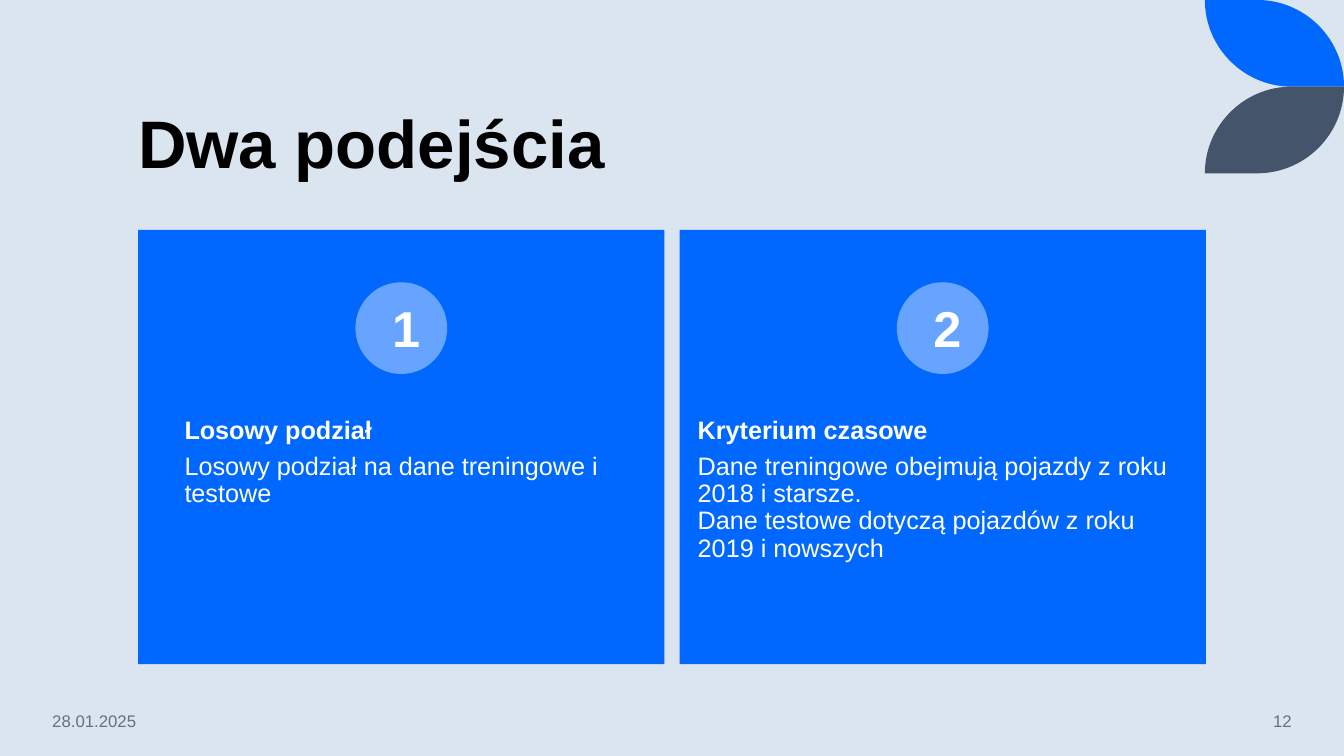
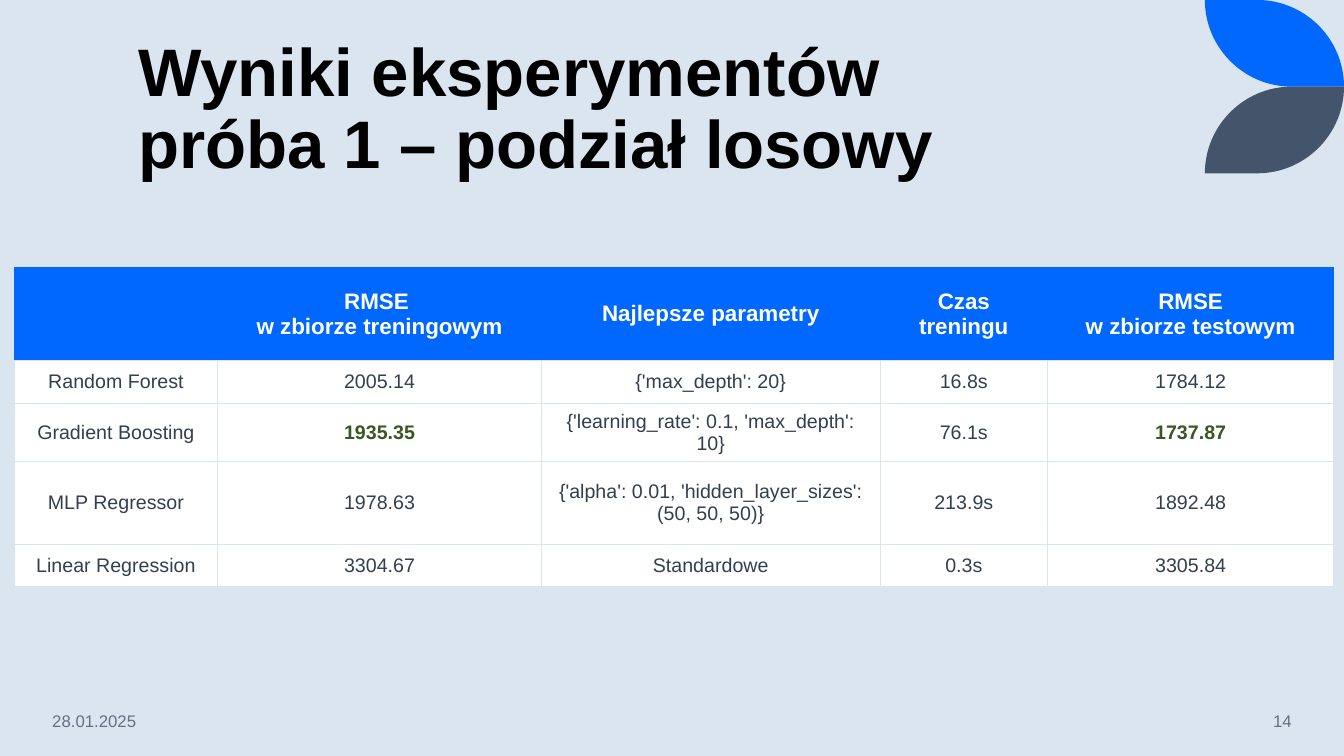
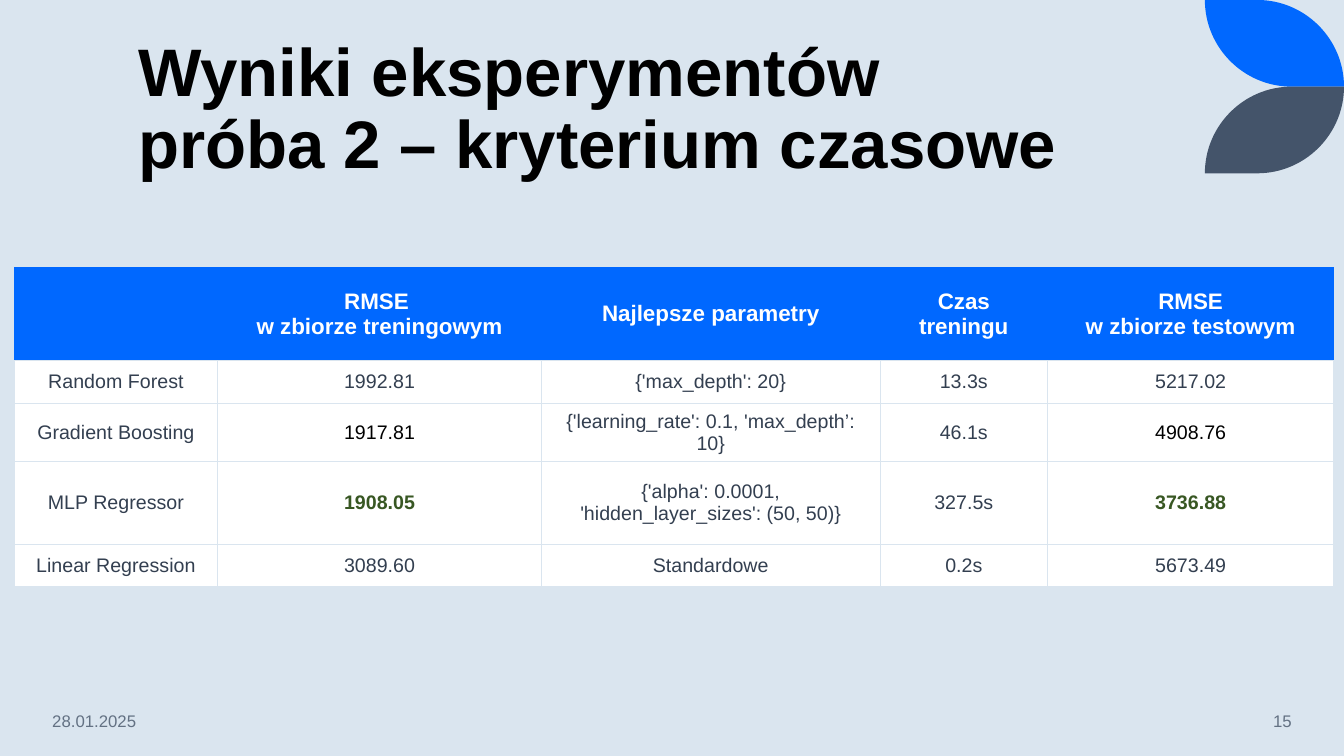
from lxml.etree import SubElement
from pptx import Presentation
from pptx.dml.color import RGBColor
from pptx.enum.shapes import MSO_SHAPE
from pptx.enum.text import MSO_ANCHOR, MSO_AUTO_SIZE, PP_ALIGN
from pptx.oxml.ns import qn
from pptx.util import Inches, Pt

# Content
DATE = "28.01.2025"
APPROACHES = {
    "title": "Dwa podejścia",
    "number": "12",
    "cards": [
        ("1", "Losowy podział", "Losowy podział na dane treningowe i testowe", 0.46),
        ("2", "Kryterium czasowe",
         "Dane treningowe obejmują pojazdy z roku 2018 i starsze.\n"
         "Dane testowe dotyczą pojazdów z roku 2019 i nowszych", 0.18),
    ],
}
# Each header cell is a tuple of paragraphs
HEADER = [("",), ("RMSE \nw zbiorze treningowym",), ("Najlepsze parametry",),
          ("Czas treningu",), ("RMSE", "w zbiorze testowym")]
RESULTS = [
    {
        "title": "Wyniki eksperymentów\npróba 1 – podział losowy",
        "number": "14",
        "rows": [
            ("Random Forest", "2005.14", "{'max_depth': 20}", "16.8s", "1784.12"),
            ("Gradient Boosting", "1935.35", "{'learning_rate': 0.1, 'max_depth': 10}",
             "76.1s", "1737.87"),
            ("MLP Regressor", "1978.63",
             "{'alpha': 0.01, 'hidden_layer_sizes': (50, 50, 50)}", "213.9s", "1892.48"),
            ("Linear Regression", "3304.67", "Standardowe", "0.3s", "3305.84"),
        ],
        "score_styles": {"Gradient Boosting": "best"},
    },
    {
        "title": "Wyniki eksperymentów\npróba 2 – kryterium czasowe",
        "number": "15",
        "rows": [
            ("Random Forest", "1992.81", "{'max_depth': 20}", "13.3s", "5217.02"),
            ("Gradient Boosting", "1917.81", "{'learning_rate': 0.1, 'max_depth’: 10}",
             "46.1s", "4908.76"),
            ("MLP Regressor", "1908.05",
             "{'alpha': 0.0001, 'hidden_layer_sizes': (50, 50)}", "327.5s", "3736.88"),
            ("Linear Regression", "3089.60", "Standardowe", "0.2s", "5673.49"),
        ],
        "score_styles": {"Gradient Boosting": "black", "MLP Regressor": "best"},
    },
]
SCORE_COLUMNS = (1, 4)
COLUMN_WIDTHS = [2.02, 3.21, 3.36, 1.66, 2.84]
ROW_HEIGHTS = [0.93, 0.42, 0.58, 0.82, 0.42]

# Shared look
PALE, BLUE, SLATE, LIGHT_BLUE, WHITE = "DAE5EF", "0068FF", "44546A", "66A4FF", "FFFFFF"
STYLES = {
    "title": {"size": Pt(48), "bold": True, "color": "000000"},
    "footer": {"size": Pt(12), "bold": False, "color": "637183"},
    "heading": {"size": Pt(18), "bold": True, "color": WHITE},
    "body": {"size": Pt(18), "bold": False, "color": WHITE},
    "digit": {"size": Pt(36), "bold": True, "color": WHITE},
    "header": {"size": Pt(16), "bold": True, "color": WHITE},
    "cell": {"size": Pt(14), "bold": False, "color": "333F50"},
    "black": {"size": Pt(14), "bold": False, "color": "000000"},
    "best": {"size": Pt(14), "bold": True, "color": "385723"},
}


def color(value):
    return RGBColor.from_string(value)


def paint(fill, value):
    fill.solid()
    fill.fore_color.rgb = color(value)


def write(paragraph, text, style, **formats):
    paragraph.text = text
    for name, value in formats.items():
        setattr(paragraph, name, value)
    for run in paragraph.runs:
        run.font.name = "Arial"
        for name, value in STYLES[style].items():
            if name == "color":
                run.font.color.rgb = color(value)
            else:
                setattr(run.font, name, value)


def finish_shape(shape, fill):
    shape.shadow.inherit = False
    paint(shape.fill, fill)
    shape.line.fill.background()


def add_text_frame(shapes, left, top, width, height, **formats):
    box = shapes.add_textbox(*map(Inches, (left, top, width, height)))
    frame = box.text_frame
    frame.word_wrap = True
    for name, value in formats.items():
        setattr(frame, name, value)
    return frame


# Corner leaves, drawn once and kept on the layout
def bend(segment, start, end):
    """Turn a straight segment into a quarter circle leaving start horizontally."""
    roundness = 0.55
    (x1, y1), (x2, y2) = start, end
    controls = [(x1 + roundness * (x2 - x1), y1), (x2, y2 - roundness * (y2 - y1)), end]
    curve = segment.makeelement(qn("a:cubicBezTo"), {})
    for x, y in controls:
        SubElement(curve, qn("a:pt"), x=str(round(x)), y=str(round(y)))
    segment.getparent().replace(segment, curve)


def add_leaf(slide, layout, fill, upside_down):
    left, width, radius = 11.95, 1.38, 0.86
    corners = [(0, 0), (width - radius, 0), (width, radius), (radius, radius), (0, 0)]
    if upside_down:
        corners = [(x, 2 * radius - y) for x, y in corners]
    outline = [(Inches(left + x), Inches(y)) for x, y in corners]
    builder = slide.shapes.build_freeform(*outline[0])
    builder.add_line_segments(outline[1:], close=True)
    leaf = builder.convert_to_shape()
    finish_shape(leaf, fill)
    local = [(x - leaf.left, y - leaf.top) for x, y in outline]
    segments = list(leaf._element.iter(qn("a:lnTo")))
    for index in (1, 3):
        bend(segments[index], local[index], local[index + 1])
    layout.shapes._spTree.append(leaf._element)


def prepare_layout(presentation):
    layout = presentation.slide_layouts.get_by_name("Title Only")
    paint(presentation.slide_master.background.fill, PALE)
    for placeholder in list(layout.placeholders)[1:]:
        layout.shapes._spTree.remove(placeholder._element)
    place = {"left": 1.27, "top": 0.42, "width": 10.69, "height": 1.45}
    for name, value in place.items():
        setattr(layout.placeholders[0], name, Inches(value))
    return layout


def add_titled_slide(presentation, layout, title):
    slide = presentation.slides.add_slide(layout)
    frame = slide.shapes.title.text_frame
    frame.auto_size = MSO_AUTO_SIZE.NONE
    frame.vertical_anchor = MSO_ANCHOR.BOTTOM
    write(frame.paragraphs[0], title, "title", alignment=PP_ALIGN.LEFT, line_spacing=0.9)
    return slide


def add_footer(slide, number):
    for left, width, text, alignment in (
        (0.42, 1.86, DATE, PP_ALIGN.LEFT),
        (11.1, 1.81, number, PP_ALIGN.RIGHT),
    ):
        frame = add_text_frame(slide.shapes, left, 6.95, width, 0.4,
                               vertical_anchor=MSO_ANCHOR.MIDDLE)
        write(frame.paragraphs[0], text, "footer", alignment=alignment)


# Numbered cards
def add_cards(slide, cards):
    first_left, top, width, height, gap = 1.37, 2.28, 5.22, 4.31, 0.15
    circle_size, digit_width, inset = 0.91, 0.38, Inches(0.14)
    lefts = [first_left + index * (width + gap) for index in range(len(cards))]
    for left, (_, heading, body, text_inset) in zip(lefts, cards):
        shapes = slide.shapes.add_group_shape().shapes
        panel = shapes.add_shape(MSO_SHAPE.RECTANGLE, *map(Inches, (left, top, width, height)))
        finish_shape(panel, BLUE)
        frame = add_text_frame(shapes, left, 4, width, 1.72, margin_left=Inches(text_inset),
                               margin_top=inset, margin_right=inset, margin_bottom=inset)
        write(frame.paragraphs[0], heading, "heading", line_spacing=0.9, space_after=Pt(6.5))
        write(frame.add_paragraph(), body, "body", line_spacing=0.9)
        place = (left + (width - circle_size) / 2, 2.8, circle_size, circle_size)
        finish_shape(shapes.add_shape(MSO_SHAPE.OVAL, *map(Inches, place)), LIGHT_BLUE)
    for left, (digit, *_) in zip(lefts, cards):
        frame = add_text_frame(slide.shapes, left + (width - digit_width) / 2, 2.9,
                               digit_width, 0.71)
        write(frame.paragraphs[0], digit, "digit", alignment=PP_ALIGN.CENTER)


# Results table
def set_borders(cell, visible):
    properties = cell._tc.get_or_add_tcPr()
    for index, side in enumerate(("lnL", "lnR", "lnT", "lnB")):
        line = properties.makeelement(qn("a:" + side), {"w": str(Pt(1))})
        if side in visible:
            fill = SubElement(line, qn("a:solidFill"))
            SubElement(fill, qn("a:srgbClr"), val=PALE)
        else:
            SubElement(line, qn("a:noFill"))
        properties.insert(index, line)


def add_results(slide, content):
    rows = [HEADER] + [[(text,) for text in row] for row in content["rows"]]
    place = (0.14, 2.65, sum(COLUMN_WIDTHS), sum(ROW_HEIGHTS))
    table = slide.shapes.add_table(len(rows), len(HEADER), *map(Inches, place)).table
    for column, width in zip(table.columns, COLUMN_WIDTHS):
        column.width = Inches(width)
    for row, height in zip(table.rows, ROW_HEIGHTS):
        row.height = Inches(height)
    for row_index, row in enumerate(rows):
        is_header = row_index == 0
        model = row[0][0]
        for column_index, lines in enumerate(row):
            cell = table.cell(row_index, column_index)
            cell.vertical_anchor = MSO_ANCHOR.MIDDLE
            paint(cell.fill, BLUE if is_header else WHITE)
            set_borders(cell, ("lnB",) if is_header else ("lnL", "lnR", "lnT", "lnB"))
            style = "header" if is_header else "cell"
            if column_index in SCORE_COLUMNS:
                style = content["score_styles"].get(model, style)
            frame = cell.text_frame
            for line_index, line in enumerate(lines):
                paragraph = frame.add_paragraph() if line_index else frame.paragraphs[0]
                write(paragraph, line, style, alignment=PP_ALIGN.CENTER)


def main():
    presentation = Presentation()
    presentation.slide_width = Inches(13.33)
    presentation.slide_height = Inches(7.5)
    layout = prepare_layout(presentation)

    slide = add_titled_slide(presentation, layout, APPROACHES["title"])
    add_leaf(slide, layout, BLUE, upside_down=False)
    add_leaf(slide, layout, SLATE, upside_down=True)
    add_footer(slide, APPROACHES["number"])
    add_cards(slide, APPROACHES["cards"])

    for content in RESULTS:
        slide = add_titled_slide(presentation, layout, content["title"])
        add_results(slide, content)
        add_footer(slide, content["number"])
    presentation.save("out.pptx")


if __name__ == "__main__":
    main()
